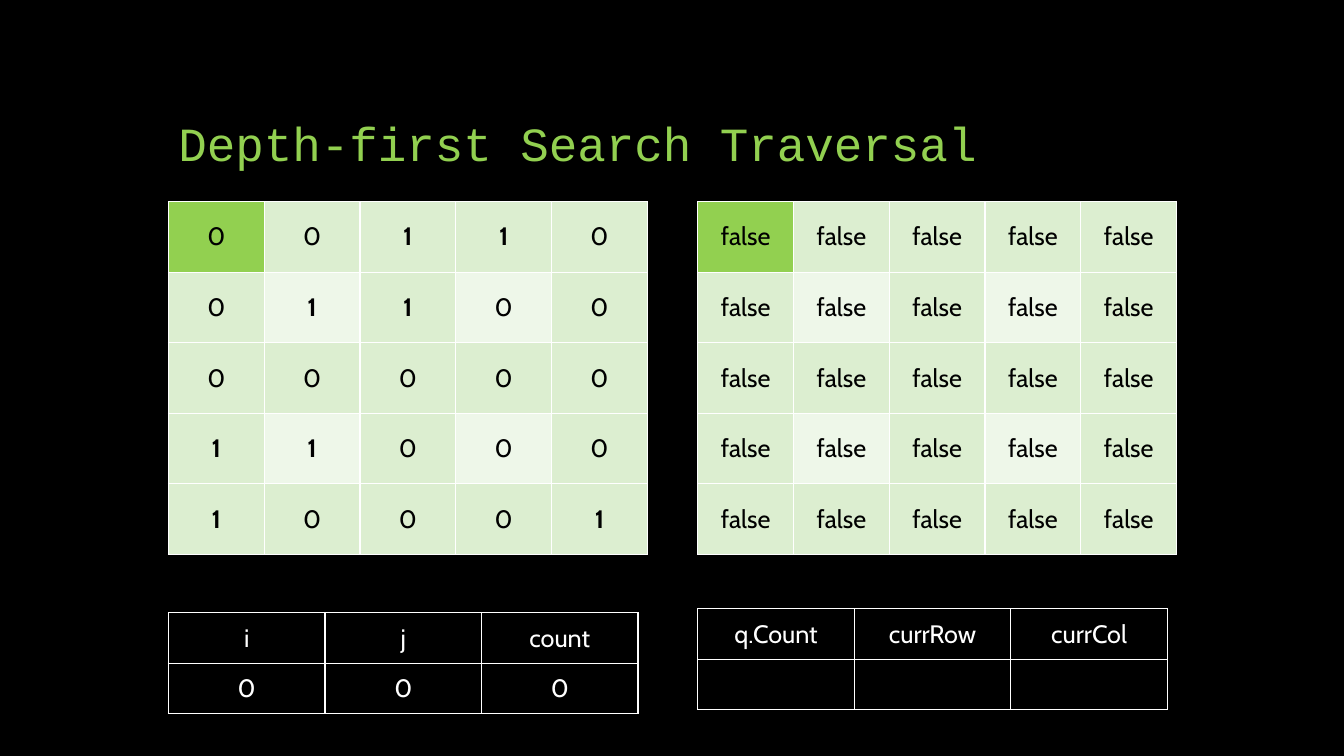
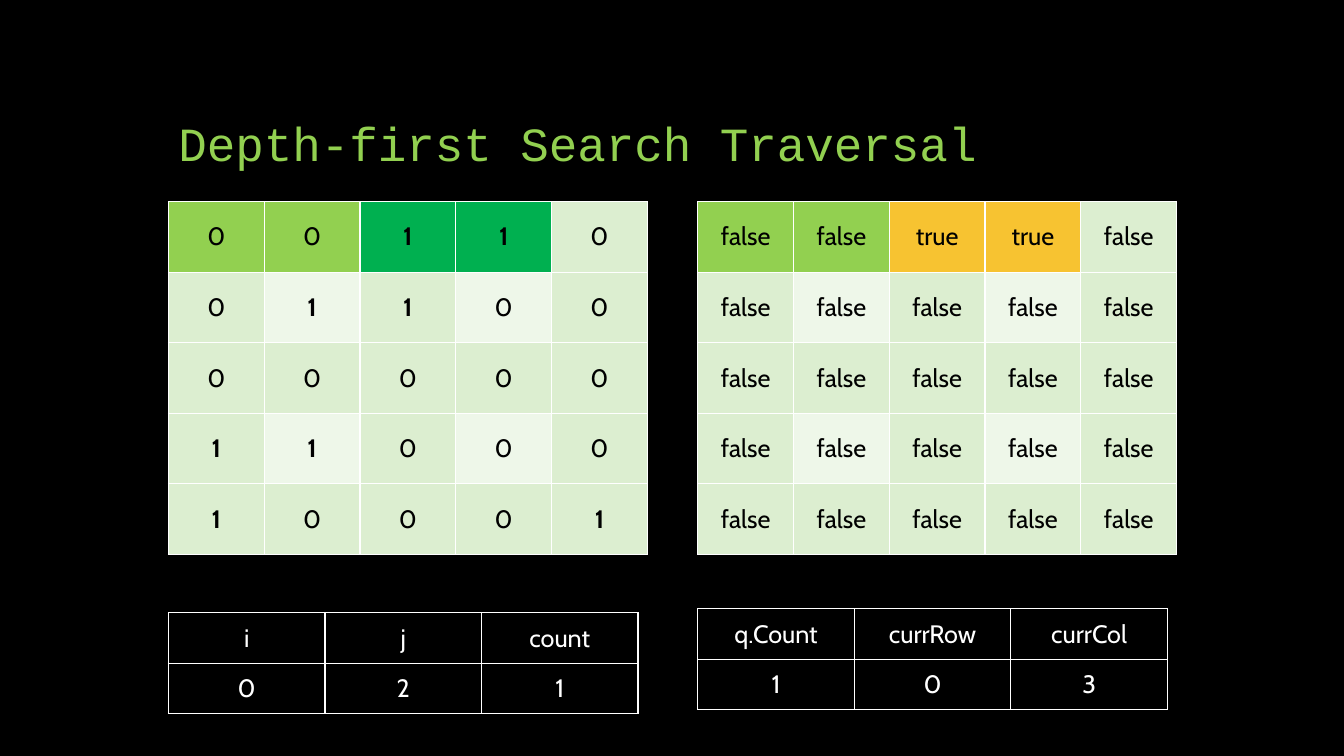
from lxml.etree import SubElement
from pptx import Presentation
from pptx.dml.color import RGBColor
from pptx.enum.text import MSO_ANCHOR, PP_ALIGN
from pptx.oxml.ns import qn
from pptx.util import Inches, Pt

BLACK, WHITE = "000000", "FFFFFF"
LIME, GREEN, AMBER = "92D050", "00B050", "F7C331"
TINT, PALE = "DCEED0", "EEF7E9"
TITLE_FONT, BODY_FONT = "Courier New", "Cabin"
NO_TABLE_STYLE = "{2D5ABB26-0587-4C30-8999-92F81FD0307C}"

LEFT, RIGHT = 1.67, 6.92
GRID_TOP, GRID_COLUMN, GRID_ROW = 2, 0.95, 0.7
LOOP_TOP, QUEUE_TOP, STATE_COLUMN, STATE_ROW = 6.08, 6.04, 1.553, 0.5

ISLANDS = ["00110", "01100", "00000", "11000", "10001"]
SIZE = len(ISLANDS)

# Each step: fills along the first row, visited columns, loop and queue values
STEPS = [
    {
        "island_fills": [LIME],
        "visited_fills": [LIME],
        "visited": [],
        "loop": ["0", "0", "0"],
        "queue": ["", "", ""],
    },
    {
        "island_fills": [LIME, LIME, GREEN, GREEN],
        "visited_fills": [LIME, LIME, AMBER, AMBER],
        "visited": [2, 3],
        "loop": ["0", "2", "1"],
        "queue": ["1", "0", "3"],
    },
]


def rgb(value):
    return RGBColor.from_string(value)


def style_text(paragraph, font_name, size, colour, bold=False):
    font = paragraph.font
    font.name, font.size, font.bold = font_name, Pt(size), bold
    font.color.rgb = rgb(colour)


def add_title(slide, text):
    shape = slide.shapes.add_textbox(Inches(LEFT), Inches(0.5), Inches(10), Inches(1.25))
    frame = shape.text_frame
    frame.word_wrap = True
    frame.vertical_anchor = MSO_ANCHOR.BOTTOM
    paragraph = frame.paragraphs[0]
    paragraph.text = text
    paragraph.line_spacing = 0.9
    style_text(paragraph, TITLE_FONT, 34, LIME)


def add_borders(cell):
    properties = cell._tc.get_or_add_tcPr()
    for side in ("a:lnL", "a:lnR", "a:lnT", "a:lnB"):
        line = SubElement(properties, qn(side), w=str(Pt(1)))
        fill = SubElement(line, qn("a:solidFill"))
        SubElement(fill, qn("a:srgbClr"), val=WHITE)


def add_table(slide, left, top, column_width, row_height, rows, colour, fill_at=None):
    """Add a bordered table; fill_at gives a cell's fill from its row and column."""
    row_count, column_count = len(rows), len(rows[0])
    table = slide.shapes.add_table(
        row_count, column_count, Inches(left), Inches(top),
        Inches(column_width * column_count), Inches(row_height * row_count),
    ).table
    table.first_row = table.horz_banding = False
    table._tbl.tblPr.find(qn("a:tableStyleId")).text = NO_TABLE_STYLE
    for row, values in enumerate(rows):
        for column, value in enumerate(values):
            cell = table.cell(row, column)
            cell.vertical_anchor = MSO_ANCHOR.MIDDLE
            add_borders(cell)
            if fill_at:
                cell.fill.solid()
                cell.fill.fore_color.rgb = rgb(fill_at(row, column))
            else:
                cell.fill.background()
            paragraph = cell.text_frame.paragraphs[0]
            paragraph.text = value
            paragraph.alignment = PP_ALIGN.CENTER
            is_land = fill_at is not None and value == "1"
            style_text(paragraph, BODY_FONT, 18, colour, is_land)


def add_grid(slide, left, rows, first_row_fills):
    def fill_at(row, column):
        if row == 0 and column < len(first_row_fills):
            return first_row_fills[column]
        return PALE if row % 2 and column % 2 else TINT

    add_table(slide, left, GRID_TOP, GRID_COLUMN, GRID_ROW, rows, BLACK, fill_at)


def add_state(slide, left, top, names, values):
    add_table(slide, left, top, STATE_COLUMN, STATE_ROW, [names, values], WHITE)


def visited_rows(visited):
    rows = [["false"] * SIZE for _ in range(SIZE)]
    for column in visited:
        rows[0][column] = "true"
    return rows


def add_step(presentation, step):
    slide = presentation.slides.add_slide(presentation.slide_layouts[6])
    add_title(slide, "Depth-first Search Traversal")
    add_grid(slide, LEFT, ISLANDS, step["island_fills"])
    add_grid(slide, RIGHT, visited_rows(step["visited"]), step["visited_fills"])
    add_state(slide, LEFT, LOOP_TOP, ["i", "j", "count"], step["loop"])
    add_state(slide, RIGHT, QUEUE_TOP, ["q.Count", "currRow", "currCol"], step["queue"])


def main():
    presentation = Presentation()
    presentation.slide_width, presentation.slide_height = Inches(13.33), Inches(7.5)
    background = presentation.slide_master.background.fill
    background.solid()
    background.fore_color.rgb = rgb(BLACK)
    for step in STEPS:
        add_step(presentation, step)
    presentation.save("out.pptx")


if __name__ == "__main__":
    main()
